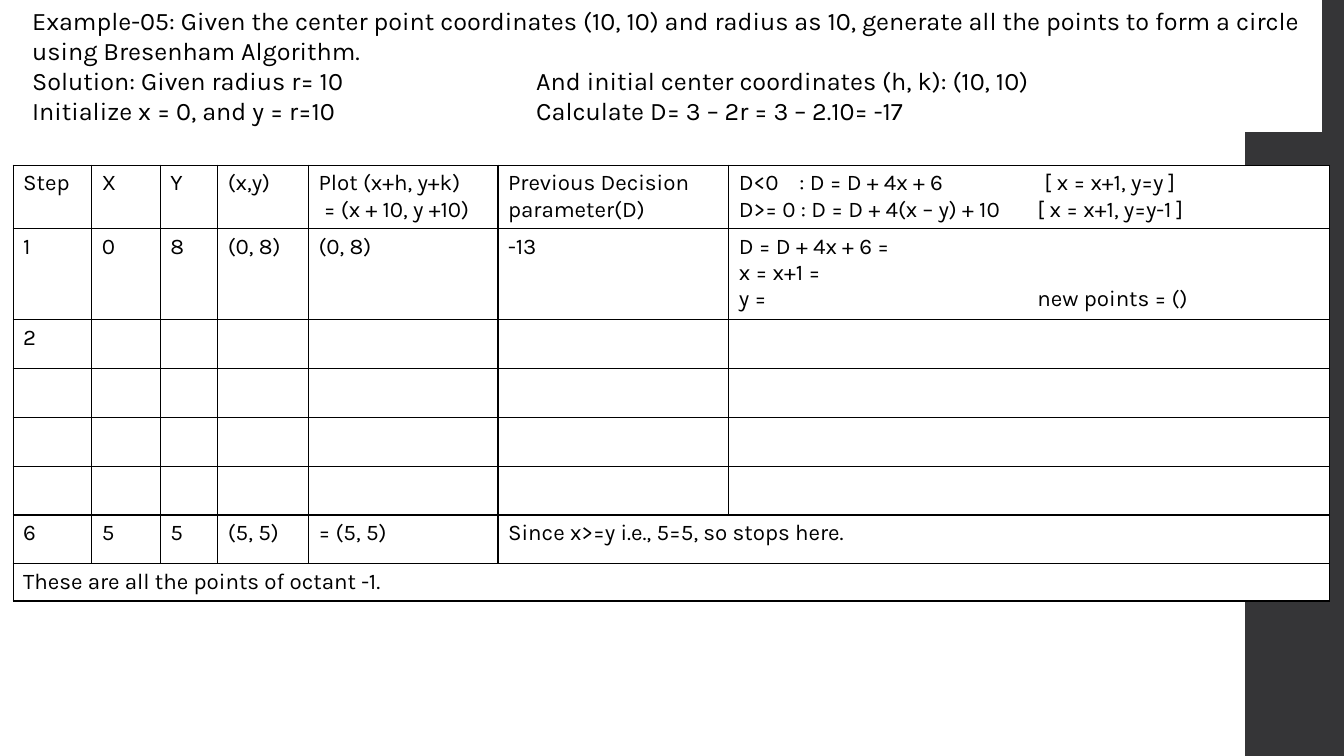
from dataclasses import dataclass

from lxml.etree import SubElement
from pptx import Presentation
from pptx.dml.color import RGBColor
from pptx.enum.shapes import MSO_SHAPE as Preset
from pptx.enum.text import MSO_ANCHOR as Anchor, PP_ALIGN as Align
from pptx.oxml.ns import qn
from pptx.slide import Slide
from pptx.table import Table, _Cell as Cell
from pptx.text.text import TextFrame
from pptx.util import Inches, Length, Pt

FONT = "Karla"
BLACK, WHITE, CHARCOAL = "000000", "FFFFFF", "353537"
GRID_STEP = 0.1
COLUMNS = (7.8, 6.8, 5.7, 9, 18.8, 22.9, 59.6)
ROWS = (6.3, 9, 4.85, 4.85, 4.85, 4.85, 4.85, 3.7)
BORDERS = ("a:lnL", "a:lnR", "a:lnT", "a:lnB")


@dataclass(frozen=True)
class Panel:
    left: float
    top: float
    width: float
    height: float
    color: str


@dataclass(frozen=True)
class Line:
    text: str
    stops: tuple[float, ...] = ()


@dataclass(frozen=True)
class Entry:
    row: int
    column: int
    lines: tuple[Line, ...]
    span: int = 1


SIDEBAR = Panel(123.5, 0, 9.8, 75, CHARCOAL)
PROBLEM = Panel(2.2, 0, 128.9, 13.1, WHITE)

PROBLEM_LINES = (
    Line("Example-05: Given the center point coordinates (10, 10) and radius as 10, "
         "generate all the points to form a circle using Bresenham Algorithm."),
    Line("Solution: Given radius r= 10\tAnd initial center coordinates (h, k): (10, 10)", (50,)),
    Line("Initialize x = 0, and y = r=10\tCalculate D= 3 – 2r = 3 – 2.10= -17", (50,)),
)

ENTRIES = (
    Entry(0, 0, (Line("Step"),)),
    Entry(0, 1, (Line("X"),)),
    Entry(0, 2, (Line("Y"),)),
    Entry(0, 3, (Line("(x,y)"),)),
    Entry(0, 4, (Line("Plot (x+h, y+k)"), Line(" = (x + 10, y +10)"))),
    Entry(0, 5, (Line("Previous Decision parameter(D)"),)),
    Entry(0, 6, (Line("D<0\t: D = D + 4x + 6\t[ x = x+1, y=y ]", (6, 30.3)),
                 Line("D>= 0 : D = D + 4(x – y) + 10\t[ x = x+1, y=y-1 ]", (29.6,)))),
    Entry(1, 0, (Line("1"),)),
    Entry(1, 1, (Line("0"),)),
    Entry(1, 2, (Line("8"),)),
    Entry(1, 3, (Line("(0, 8)"),)),
    Entry(1, 4, (Line("(0, 8)"),)),
    Entry(1, 5, (Line("-13"),)),
    Entry(1, 6, (Line("D = D + 4x + 6 ="), Line("x = x+1 ="),
                 Line("y =\tnew points = ()", (29.6,)))),
    Entry(2, 0, (Line("2"),)),
    Entry(6, 0, (Line("6"),)),
    Entry(6, 1, (Line("5"),)),
    Entry(6, 2, (Line("5"),)),
    Entry(6, 3, (Line("(5, 5)"),)),
    Entry(6, 4, (Line("= (5, 5)"),)),
    Entry(6, 5, (Line("Since x>=y i.e., 5=5, so stops here."),), 2),
    Entry(7, 0, (Line("These are all the points of octant -1."),), 7),
)


def grid(steps: float) -> Length:
    return Inches(steps * GRID_STEP)


def color(value: str) -> RGBColor:
    return RGBColor.from_string(value)


def write_lines(text_frame: TextFrame, lines: tuple[Line, ...], size: int) -> None:
    text_frame.text = "\n".join(line.text for line in lines)
    for paragraph, line in zip(text_frame.paragraphs, lines):
        paragraph.alignment = Align.LEFT
        if line.stops:
            tabs = SubElement(paragraph._p.get_or_add_pPr(), qn("a:tabLst"))
            for stop in line.stops:
                SubElement(tabs, qn("a:tab"), pos=str(grid(stop)), algn="l")
        for run in paragraph.runs:
            run.font.name = FONT
            run.font.size = Pt(size)
            run.font.color.rgb = color(BLACK)


def add_panel(slide: Slide, panel: Panel, lines: tuple[Line, ...] = ()) -> None:
    shape = slide.shapes.add_shape(
        Preset.RECTANGLE, grid(panel.left), grid(panel.top), grid(panel.width), grid(panel.height))
    shape.shadow.inherit = False
    shape.fill.solid()
    shape.fill.fore_color.rgb = color(panel.color)
    shape.line.fill.background()
    if lines:
        shape.text_frame.word_wrap = True
        shape.text_frame.vertical_anchor = Anchor.TOP
        write_lines(shape.text_frame, lines, 18)


def format_cell(cell: Cell) -> None:
    properties = cell._tc.get_or_add_tcPr()
    for border in BORDERS:
        line = SubElement(properties, qn(border), w=str(Pt(1)))
        fill = SubElement(line, qn("a:solidFill"))
        SubElement(fill, qn("a:srgbClr"), val=BLACK)
    cell.fill.solid()
    cell.fill.fore_color.rgb = color(WHITE)


def fill_table(table: Table) -> None:
    table.first_row = False
    table.horz_banding = False
    for column, width in zip(table.columns, COLUMNS):
        column.width = grid(width)
    for row, height in zip(table.rows, ROWS):
        row.height = grid(height)
    for cell in table.iter_cells():
        format_cell(cell)
    for entry in ENTRIES:
        cell = table.cell(entry.row, entry.column)
        if entry.span > 1:
            cell.merge(table.cell(entry.row, entry.column + entry.span - 1))
        write_lines(cell.text_frame, entry.lines, 16)


def main() -> None:
    presentation = Presentation()
    presentation.slide_width = Inches(13.33)
    presentation.slide_height = Inches(7.5)
    slide = presentation.slides.add_slide(presentation.slide_layouts.get_by_name("Blank"))
    add_panel(slide, SIDEBAR)
    add_panel(slide, PROBLEM, PROBLEM_LINES)
    frame = slide.shapes.add_table(
        len(ROWS), len(COLUMNS), grid(1.3), grid(16.4), grid(sum(COLUMNS)), grid(sum(ROWS)))
    fill_table(frame.table)
    presentation.save("out.pptx")


if __name__ == "__main__":
    main()
